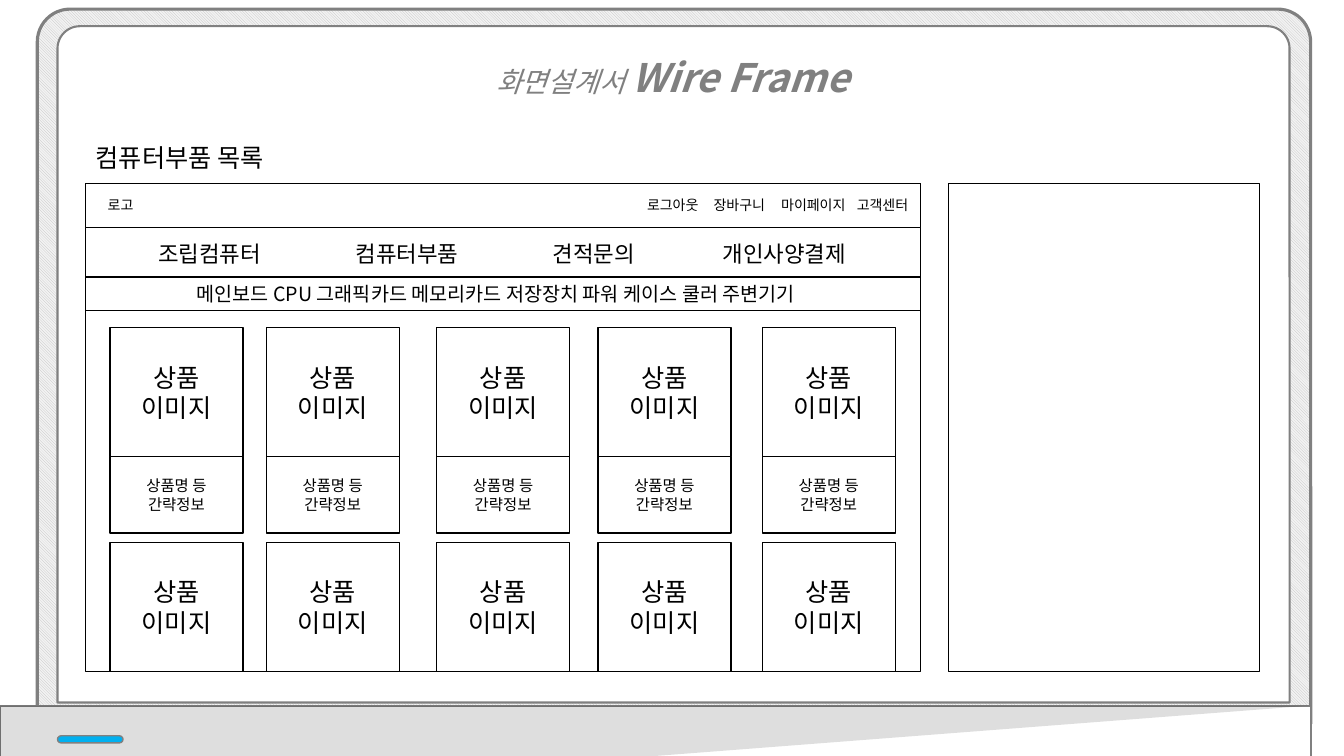
from dataclasses import dataclass
from typing import Optional

from lxml.etree import SubElement
from pptx import Presentation
from pptx.dml.color import RGBColor
from pptx.enum.dml import MSO_PATTERN
from pptx.enum.shapes import MSO_CONNECTOR, MSO_SHAPE
from pptx.enum.text import MSO_ANCHOR, MSO_AUTO_SIZE, PP_ALIGN
from pptx.oxml.ns import qn
from pptx.util import Inches, Pt

FONT = "Noto Sans CJK KR"
WHITE = RGBColor(0xFF, 0xFF, 0xFF)
BLACK = RGBColor(0, 0, 0)
RULE = RGBColor(0x0D, 0x0D, 0x0D)
GRAY = RGBColor(0x80, 0x80, 0x80)
HATCH = RGBColor(0xBF, 0xBF, 0xBF)
BEZEL = RGBColor(0xF2, 0xF2, 0xF2)
LIGHT = RGBColor(0x00, 0xB0, 0xF0)

FRAME_X, FRAME_Y, FRAME_W, FRAME_H = 0.85, 1.82, 8.28, 4.84
CARD_LEFTS = [1.09, 2.64, 4.33, 5.93, 7.56]
CARD_W, IMAGE_H, INFO_H = 1.32, 1.28, 0.76
ROW_TOPS = [3.25, 5.38]


@dataclass
class Hinge:
    left: float
    width: float
    rotation: int
    rounding: float
    flipped: bool = False


@dataclass
class Label:
    box: tuple[float, float, float, float]
    text: str
    size: float
    tabs: tuple[float, ...] = ()
    tab_kind: str = "l"


HINGES = [
    Hinge(1.29, 1.97, 270, 0.193),
    Hinge(11.95, 1.97, 90, 0.193, True),
    Hinge(6.62, 8.7, 270, 0),
]
LABELS = [
    Label((FRAME_X, 2.33, FRAME_W, 0.37), "\t조립컴퓨터\t컴퓨터부품\t견적문의\t개인사양결제",
          16, (1.13, 3.09, 4.94, 6.83), "ctr"),
    Label((6.01, 1.9, 3.2, 0.27), "\t로그아웃\t장바구니\t마이페이지\t고객센터",
          10, (0.31, 0.97, 1.64, 2.39)),
    Label((0.97, 1.9, 2.41, 0.27), "로고", 10),
    Label((FRAME_X, 1.36, 3.11, 0.4), "컴퓨터부품 목록", 18),
]


def add_run(p, text: str, size: float, color: RGBColor = BLACK,
            bold: bool = False, italic: bool = False) -> None:
    r = p.add_run()
    r.text = text
    r.font.size = Pt(size)
    r.font.bold = bold
    r.font.italic = italic
    r.font.color.rgb = color
    r.font.name = FONT
    SubElement(r.font._element, qn("a:ea"), typeface=FONT)


def set_tabs(p, stops: tuple[float, ...], kind: str = "l") -> None:
    tabs = SubElement(p._p.get_or_add_pPr(), qn("a:tabLst"))
    for stop in stops:
        SubElement(tabs, qn("a:tab"), pos=str(Inches(stop)), algn=kind)


def style(s, fill: Optional[RGBColor], line: Optional[RGBColor], width: float = 1) -> None:
    s.shadow.inherit = False
    if fill is None:
        s.fill.background()
    else:
        s.fill.solid()
        s.fill.fore_color.rgb = fill
    if line is None:
        s.line.fill.background()
    else:
        s.line.color.rgb = line
        s.line.width = Pt(width)


def add_box(shapes, box: tuple[float, float, float, float], fill: Optional[RGBColor] = None,
            line: RGBColor = BLACK, width: float = 1, kind=MSO_SHAPE.RECTANGLE,
            adjustments: tuple[float, ...] = ()):
    s = shapes.add_shape(kind, *map(Inches, box))
    for i, value in enumerate(adjustments):
        s.adjustments[i] = value
    style(s, fill, line, width)
    return s


def add_textbox(shapes, box: tuple[float, float, float, float]):
    s = shapes.add_textbox(*map(Inches, box))
    s.text_frame.word_wrap = True
    s.text_frame.auto_size = MSO_AUTO_SIZE.SHAPE_TO_FIT_TEXT
    return s.text_frame.paragraphs[0]


def add_polygon(shapes, points: list[tuple[float, float]], fill: RGBColor,
                line: Optional[RGBColor], width: float = 1):
    builder = shapes.build_freeform(*points[0], scale=Inches(1))
    builder.add_line_segments(points[1:], close=True)
    s = builder.convert_to_shape()
    style(s, fill, line, width)
    return s


def fill_box(s, lines: list[str], size: float) -> None:
    tf = s.text_frame
    tf.word_wrap = True
    tf.vertical_anchor = MSO_ANCHOR.MIDDLE
    for i, text in enumerate(lines):
        p = tf.add_paragraph() if i else tf.paragraphs[0]
        p.alignment = PP_ALIGN.CENTER
        add_run(p, text, size)


def draw_laptop(shapes) -> None:
    top_round = MSO_SHAPE.ROUND_2_SAME_RECTANGLE
    # Lid and screen
    lid = add_box(shapes, (0.37, 0.09, 12.63, 7.09), BEZEL, GRAY, 2.25, top_round, (0.046, 0))
    lid.fill.patterned()
    lid.fill.pattern = MSO_PATTERN.LIGHT_DOWNWARD_DIAGONAL
    lid.fill.fore_color.rgb = HATCH
    lid.fill.back_color.rgb = BEZEL
    add_box(shapes, (0.57, 0.26, 12.22, 6.71), WHITE, GRAY, 1.5, top_round, (0.033, 0))
    # Hinge strips stand upright and are turned on their side
    for h in HINGES:
        box = (h.left, 7.155 - h.width / 2, 0.12, h.width)
        s = add_box(shapes, box, WHITE, GRAY, 1.5, top_round, (h.rounding, 0))
        s.fill.gradient()
        s.fill.gradient_angle = 0
        for stop, (position, color) in zip(s.fill.gradient_stops, [(0.17, GRAY), (0.59, WHITE)]):
            stop.position = position
            stop.color.rgb = color
        s.rotation = h.rotation
        if h.flipped:
            s._element.spPr.xfrm.set("flipH", "1")
    # Base with shade and power light
    add_polygon(shapes, [(0.39, 7.21), (12.97, 7.21), (13.18, 7.5), (0.17, 7.5)],
                WHITE, GRAY, 1.5)
    shade = add_polygon(shapes, [(0.39, 7.18), (0.17, 7.5), (13.02, 7.22)], BLACK, None)
    color = shade._element.spPr.find(qn("a:solidFill")).find(qn("a:srgbClr"))
    SubElement(color, qn("a:alpha"), val="13000")
    add_box(shapes, (0.57, 7.3, 0.65, 0.07), LIGHT, GRAY, 1,
            MSO_SHAPE.ROUNDED_RECTANGLE, (0.5,))


def draw_page(shapes) -> None:
    # Notes panel, page frame and header bar
    add_box(shapes, (9.41, FRAME_Y, 3.08, FRAME_H), WHITE)
    add_box(shapes, (FRAME_X, FRAME_Y, FRAME_W, FRAME_H), WHITE)
    add_box(shapes, (FRAME_X, FRAME_Y, FRAME_W, 0.44), WHITE)
    # Menus and heading
    for label in LABELS:
        p = add_textbox(shapes, label.box)
        if label.tabs:
            set_tabs(p, label.tabs, label.tab_kind)
        add_run(p, label.text, label.size)
    rule = shapes.add_connector(MSO_CONNECTOR.STRAIGHT, Inches(FRAME_X), Inches(2.75),
                                Inches(9.11), Inches(2.75))
    rule.line.color.rgb = RULE
    rule.line.width = Pt(0.5)
    SubElement(rule._element.spPr, qn("a:effectLst"))
    # Category bar
    bar = add_box(shapes, (FRAME_X, 2.75, FRAME_W, 0.33))
    bar.text_frame.vertical_anchor = MSO_ANCHOR.MIDDLE
    p = bar.text_frame.paragraphs[0]
    p.alignment = PP_ALIGN.LEFT
    set_tabs(p, (1,))
    add_run(p, "\t메인보드 CPU 그래픽카드 메모리카드 저장장치 파워 케이스 쿨러 주변기기", 14)
    # Product cards; the second row is cut off by the frame
    for top in ROW_TOPS:
        for left in CARD_LEFTS:
            fill_box(add_box(shapes, (left, top, CARD_W, IMAGE_H)), ["상품", "이미지"], 18)
            if top == ROW_TOPS[0]:
                info = add_box(shapes, (left, top + IMAGE_H, CARD_W, INFO_H))
                fill_box(info, ["상품명 등 간략정보"], 11)


def draw_title(shapes) -> None:
    p = add_textbox(shapes, (3.67, 0.25, 6, 0.81))
    p.alignment = PP_ALIGN.CENTER
    p.line_spacing = 1.5
    add_run(p, "화면설계서 ", 20, GRAY, italic=True)
    add_run(p, "Wire Frame", 28, GRAY, bold=True, italic=True)


def main() -> None:
    prs = Presentation()
    prs.slide_width, prs.slide_height = Inches(13.33), Inches(7.5)
    slide = prs.slides.add_slide(prs.slide_layouts[6])
    draw_laptop(slide.shapes.add_group_shape().shapes)
    draw_page(slide.shapes)
    draw_title(slide.shapes)
    prs.save("out.pptx")


if __name__ == "__main__":
    main()
